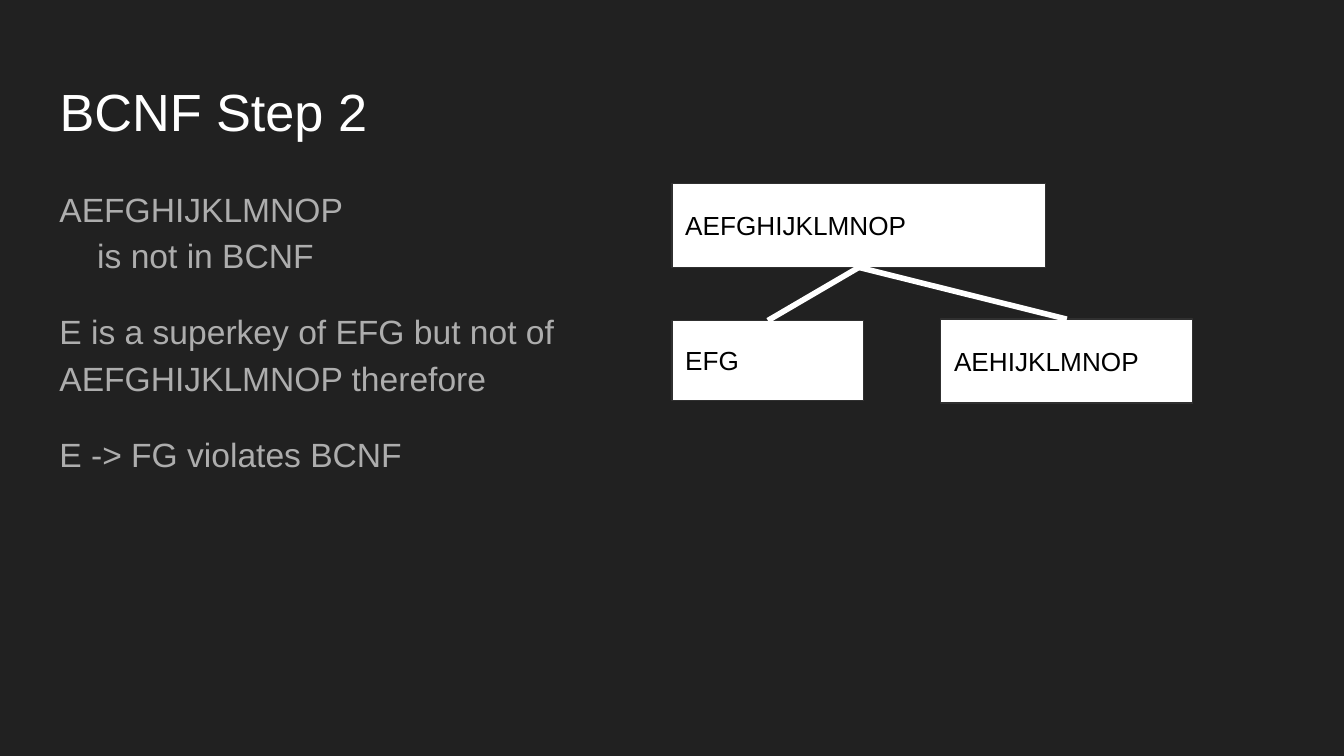
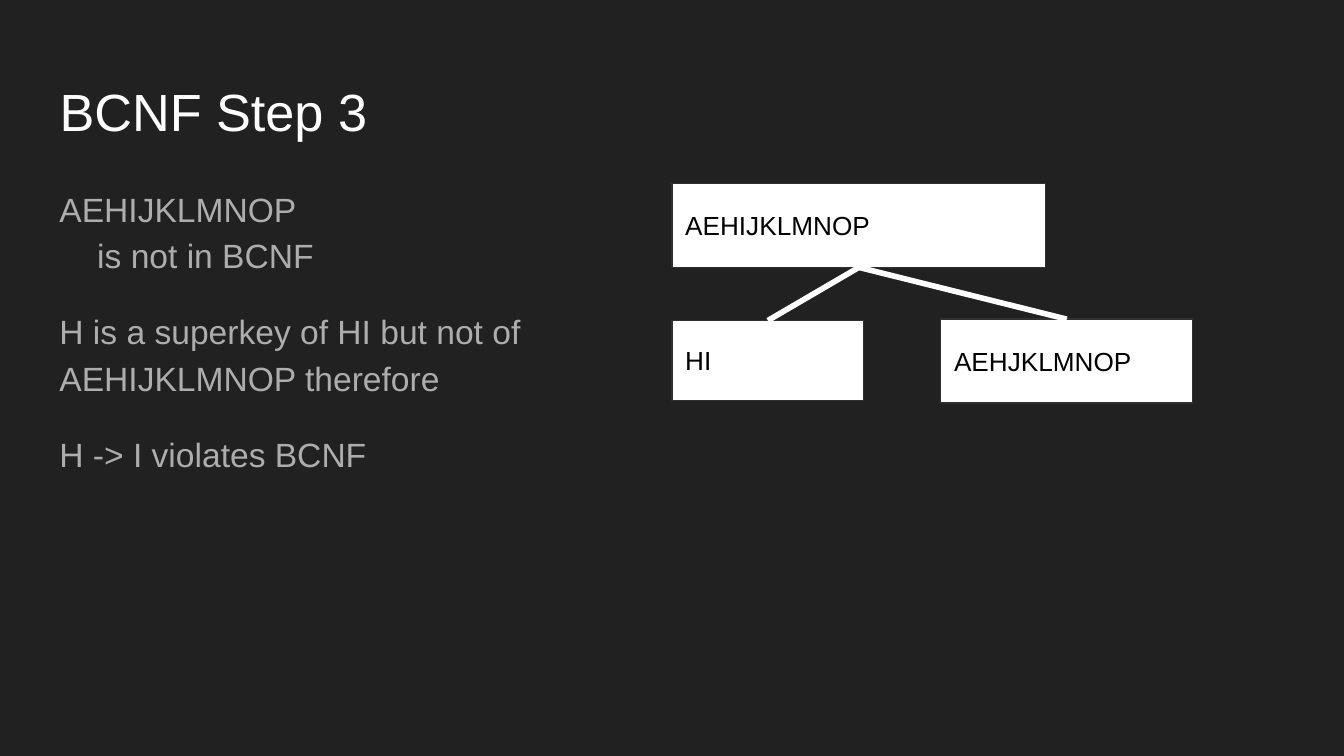
from dataclasses import dataclass

import lxml.etree
import pptx
import pptx.dml.color
import pptx.enum.shapes
import pptx.enum.text
import pptx.oxml.ns
import pptx.util

PX = 9525


@dataclass(frozen=True)
class Theme:
    font: str = "Arial"
    background: str = "212121"
    title: str = "FFFFFF"
    body: str = "ADADAD"
    box: str = "FFFFFF"
    outline: str = "303030"
    label: str = "000000"
    link: str = "FFFFFF"
    title_size: int = 28
    body_size: int = 18
    label_size: int = 14


theme = Theme()


def color(code):
    return pptx.dml.color.RGBColor.from_string(code)


def write(shape, *lines, size, ink, anchor="TOP", spacing=None, after=None, hanging=0):
    frame = shape.text_frame
    frame.word_wrap = True
    frame.auto_size = pptx.enum.text.MSO_AUTO_SIZE.NONE
    frame.vertical_anchor = pptx.enum.text.MSO_ANCHOR[anchor]
    frame.margin_left = frame.margin_right = pptx.util.Inches(0.1)
    frame.margin_top = frame.margin_bottom = pptx.util.Inches(0.1)
    frame.text = "\n".join(lines)
    for paragraph in frame.paragraphs:
        paragraph.alignment = pptx.enum.text.PP_ALIGN.LEFT
        paragraph.line_spacing = spacing
        if after is not None:
            paragraph.space_after = pptx.util.Pt(after)
        if hanging and "\v" in paragraph.text:
            properties = paragraph._p.get_or_add_pPr()
            properties.set("marL", str(hanging * PX))
            properties.set("indent", str(-hanging * PX))
        for run in paragraph.runs:
            run.font.name = theme.font
            run.font.size = pptx.util.Pt(size)
            run.font.color.rgb = color(ink)


steps = [
    (2, "AEFGHIJKLMNOP", "E", "FG", "AEHIJKLMNOP"),
    (3, "AEHIJKLMNOP", "H", "I", "AEHJKLMNOP"),
]
tree_places = [(480, 131, 267, 60), (480, 229, 137, 57), (672, 228, 180, 60)]

deck = pptx.Presentation()
deck.slide_width = 960 * PX
deck.slide_height = 540 * PX
title_only = deck.slide_layouts[5]

for number, relation, key, dependents, remainder in steps:
    slide = deck.slides.add_slide(title_only)
    slide.background.fill.solid()
    slide.background.fill.fore_color.rgb = color(theme.background)

    heading = slide.shapes.title
    heading.left, heading.top, heading.width, heading.height = (
        length * PX for length in (33, 47, 895, 60)
    )
    write(heading, f"BCNF Step {number}", size=theme.title_size, ink=theme.title)

    reasoning = slide.shapes.add_textbox(
        *(length * PX for length in (33, 121, 394, 359))
    )
    write(
        reasoning,
        f"{relation}\vis not in BCNF",
        f"{key} is a superkey of {key}{dependents} but not of {relation} therefore",
        f"{key} -> {dependents} violates BCNF",
        size=theme.body_size, ink=theme.body, spacing=1.15, after=16, hanging=27,
    )

    tree = []
    for attributes, place in zip((relation, key + dependents, remainder), tree_places):
        node = slide.shapes.add_shape(
            pptx.enum.shapes.MSO_SHAPE.RECTANGLE, *(length * PX for length in place)
        )
        node.shadow.inherit = False
        node.fill.solid()
        node.fill.fore_color.rgb = color(theme.box)
        node.line.color.rgb = color(theme.outline)
        node.line.width = pptx.util.Pt(0.75)
        write(node, attributes, size=theme.label_size, ink=theme.label, anchor="MIDDLE")
        tree.append(node)

    parent, *children = tree
    for child in children:
        branch = slide.shapes.add_connector(
            pptx.enum.shapes.MSO_CONNECTOR.STRAIGHT, 0, 0, 0, 0
        )
        branch.begin_connect(parent, 2)
        branch.end_connect(child, 0)
        branch.line.color.rgb = color(theme.link)
        branch.line.width = pptx.util.Pt(3)
        lxml.etree.SubElement(
            branch._element.spPr, pptx.oxml.ns.qn("a:effectLst")
        )

deck.save("out.pptx")
